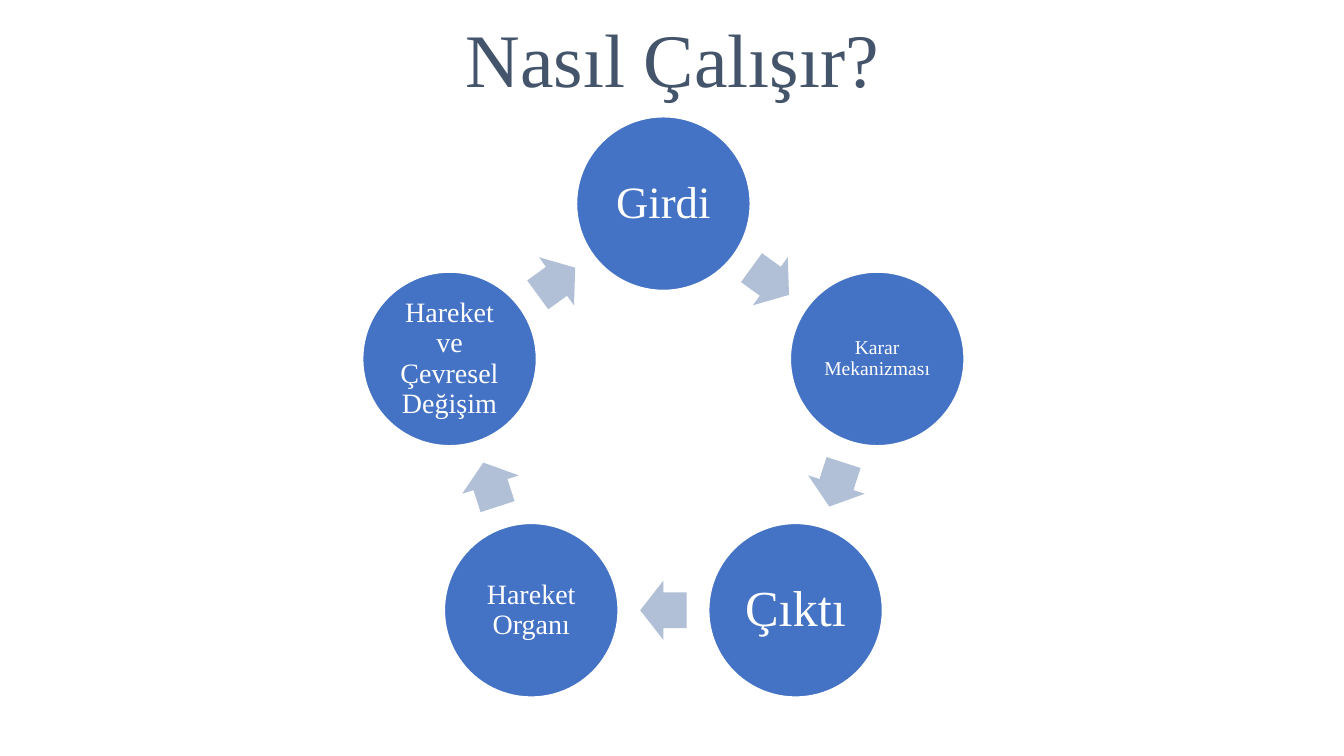
import math
from dataclasses import dataclass

import pptx
import pptx.dml.color
import pptx.enum.shapes
import pptx.enum.text
import pptx.util
from pptx.util import Inches

BLUE = pptx.dml.color.RGBColor(0x44, 0x72, 0xC4)
PALE_BLUE = pptx.dml.color.RGBColor(0xB1, 0xC0, 0xD7)
SLATE = pptx.dml.color.RGBColor(0x44, 0x54, 0x6A)
WHITE = pptx.dml.color.RGBColor(0xFF, 0xFF, 0xFF)
FONT = "Times New Roman"

CENTER_X, CENTER_Y = 6.58, 4.25
RING_RADIUS = 2.23
STAGE_DIAMETER = 1.74
ARROW_WIDTH, ARROW_HEIGHT = 0.46, 0.59


@dataclass(frozen=True)
class Stage:
    label: str
    size: int
    inset: float


STAGES = [
    Stage("Girdi", 32, 0.04),
    Stage("Karar Mekanizması", 14, 0.02),
    Stage("Çıktı", 36, 0.05),
    Stage("Hareket Organı", 20, 0.03),
    Stage("Hareket ve Çevresel Değişim", 20, 0.03),
]


def write_text(shape, text: str, *, size: int, color: pptx.dml.color.RGBColor,
               anchor: pptx.enum.text.MSO_ANCHOR, line_spacing: float,
               inset_x: float, inset_y: float) -> None:
    frame = shape.text_frame
    frame.word_wrap = True
    frame.auto_size = pptx.enum.text.MSO_AUTO_SIZE.NONE
    frame.vertical_anchor = anchor
    frame.margin_left = frame.margin_right = Inches(inset_x)
    frame.margin_top = frame.margin_bottom = Inches(inset_y)
    paragraph = frame.paragraphs[0]
    paragraph.alignment = pptx.enum.text.PP_ALIGN.CENTER
    paragraph.line_spacing = line_spacing
    run = paragraph.add_run()
    run.text = text
    run.font.name = FONT
    run.font.size = pptx.util.Pt(size)
    run.font.color.rgb = color


def add_on_ring(slide, preset: pptx.enum.shapes.MSO_SHAPE, degrees: float, radius: float,
                width: float, height: float, fill: pptx.dml.color.RGBColor):
    """Centre a shape on a ring, with degrees clockwise from the top."""
    angle = math.radians(degrees)
    x = CENTER_X + radius * math.sin(angle)
    y = CENTER_Y - radius * math.cos(angle)
    shape = slide.shapes.add_shape(preset, Inches(x - width / 2), Inches(y - height / 2),
                                   Inches(width), Inches(height))
    shape.shadow.inherit = False
    shape.fill.solid()
    shape.fill.fore_color.rgb = fill
    return shape


def add_stage(slide, stage: Stage, degrees: float) -> None:
    circle = add_on_ring(slide, pptx.enum.shapes.MSO_SHAPE.OVAL, degrees, RING_RADIUS,
                         STAGE_DIAMETER, STAGE_DIAMETER, BLUE)
    circle.line.color.rgb = WHITE
    circle.line.width = pptx.util.Pt(2.25)
    write_text(circle, stage.label, size=stage.size, color=WHITE,
               anchor=pptx.enum.text.MSO_ANCHOR.MIDDLE, line_spacing=0.9,
               inset_x=stage.inset, inset_y=stage.inset)


def add_arrow(slide, degrees: float, step: float) -> None:
    """Place an arrow midway along the chord between two stages."""
    chord_distance = RING_RADIUS * math.cos(math.radians(step / 2))
    arrow = add_on_ring(slide, pptx.enum.shapes.MSO_SHAPE.RIGHT_ARROW, degrees,
                        chord_distance, ARROW_WIDTH, ARROW_HEIGHT, PALE_BLUE)
    arrow.adjustments[0] = 0.6
    arrow.adjustments[1] = 0.5
    arrow.line.fill.background()
    arrow.rotation = degrees


def main() -> None:
    presentation = pptx.Presentation()
    presentation.slide_width = Inches(13.33)
    presentation.slide_height = Inches(7.5)
    slide = presentation.slides.add_slide(presentation.slide_layouts[5])

    title = slide.shapes.title
    title.left, title.top = Inches(2.17), Inches(0)
    title.width, title.height = Inches(9), Inches(1.07)
    write_text(title, "Nasıl Çalışır?", size=54, color=SLATE,
               anchor=pptx.enum.text.MSO_ANCHOR.BOTTOM, line_spacing=1.07,
               inset_x=0.1, inset_y=0.05)

    step = 360 / len(STAGES)
    for index, stage in enumerate(STAGES):
        add_stage(slide, stage, index * step)
        add_arrow(slide, (index + 0.5) * step, step)

    presentation.save("out.pptx")


if __name__ == "__main__":
    main()
